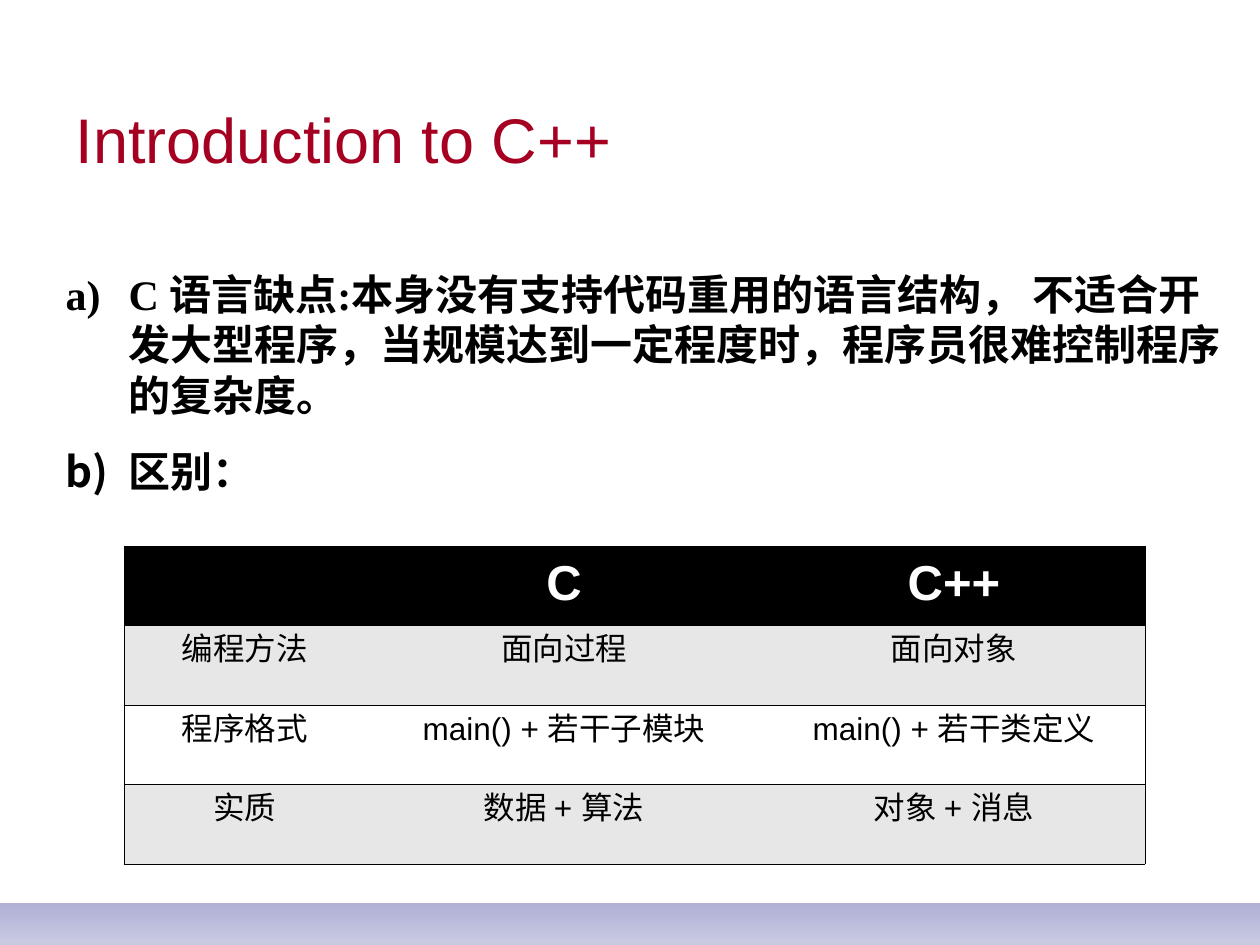
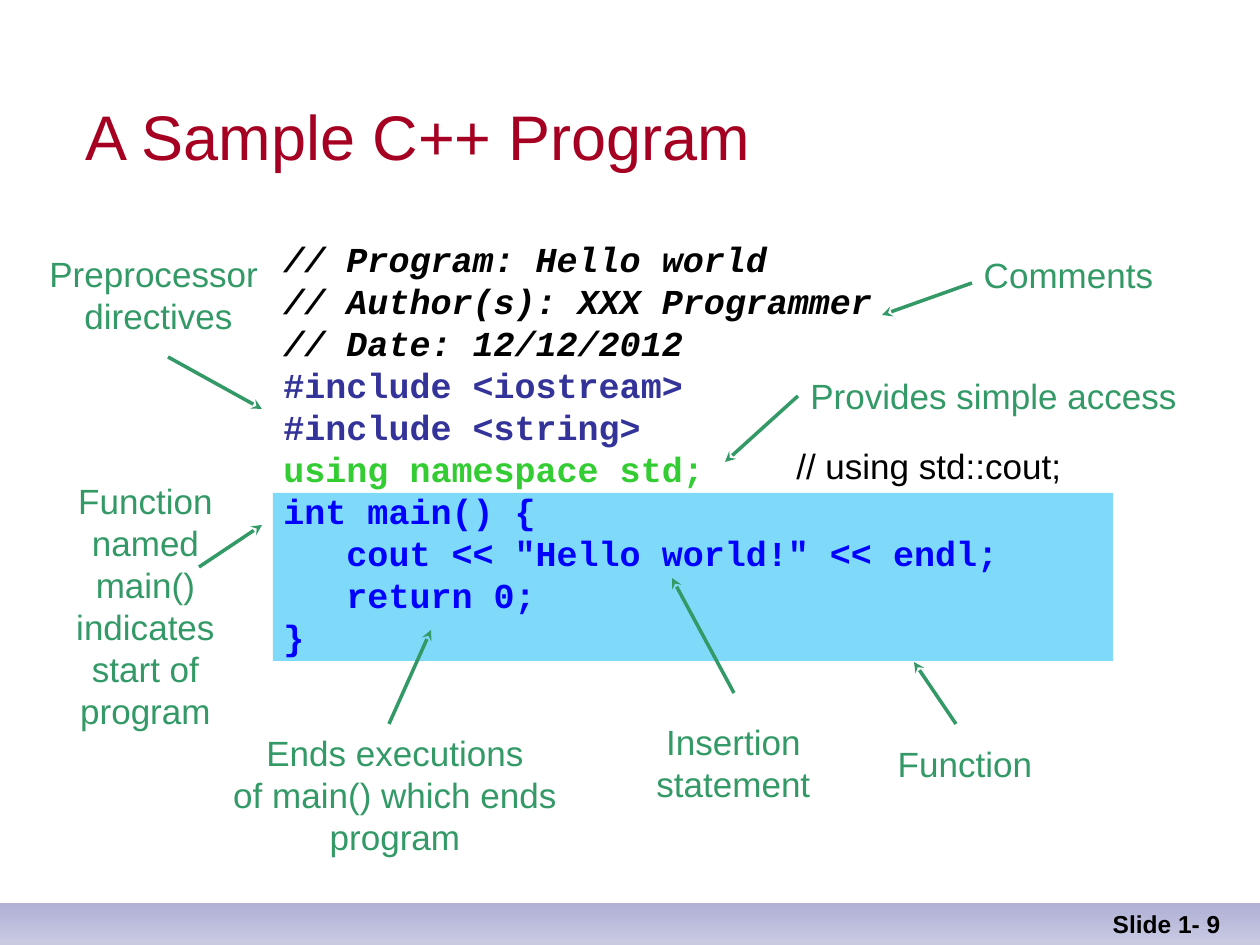
from dataclasses import dataclass
from typing import NamedTuple

from lxml.etree import SubElement
from pptx import Presentation
from pptx.dml.color import RGBColor
from pptx.enum.shapes import MSO_CONNECTOR, MSO_SHAPE
from pptx.enum.text import MSO_ANCHOR, MSO_AUTO_SIZE, PP_ALIGN
from pptx.oxml.ns import qn
from pptx.util import Emu, Pt

PX_PER_INCH = 126


@dataclass(frozen=True)
class Theme:
    title: str = "A50021"
    ink: str = "000000"
    paper: str = "FFFFFF"
    stripe: str = "E7E7E7"
    callout: str = "339966"
    directive: str = "333399"
    namespace: str = "33CC33"
    body_code: str = "0000FF"
    highlight: str = "00B6F6"
    band_top: str = "B0B1D5"
    band_bottom: str = "C9CAE2"
    sans: str = "Arial"
    serif: str = "Times New Roman"
    mono: str = "Courier New"
    title_size: int = 36
    header_size: int = 28
    list_size: int = 24
    callout_size: int = 20
    cell_size: int = 18
    footer_size: int = 14
    line_pitch: float = 1.2


THEME = Theme()


class Box(NamedTuple):
    left: int
    top: int
    width: int
    height: int


class CodeLine(NamedTuple):
    text: str
    color: str
    italic: bool = False


class Callout(NamedTuple):
    box: Box
    lines: list[str]
    wrap: bool = False
    align: PP_ALIGN = PP_ALIGN.CENTER
    color: str = THEME.callout


class Arrow(NamedTuple):
    start: tuple[int, int]
    tip: tuple[int, int]


# Slide 1 content
LIST_ITEMS = [
    "C 语言缺点:本身没有支持代码重用的语言结构， 不适合开发大型程序，"
    "当规模达到一定程度时，程序员很难控制程序的复杂度。",
    "区别：",
]
COLUMN_WIDTHS = [241, 398, 382]
COMPARISON = [
    ["", "C", "C++"],
    ["编程方法", "面向过程", "面向对象"],
    ["程序格式", "main() + 若干子模块", "main() + 若干类定义"],
    ["实质", "数据 + 算法", "对象 + 消息"],
]

# Slide 2 content
CODE = [
    CodeLine("// Program: Hello world", THEME.ink, True),
    CodeLine("// Author(s): XXX Programmer", THEME.ink, True),
    CodeLine("// Date: 12/12/2012", THEME.ink, True),
    CodeLine("#include <iostream>", THEME.directive),
    CodeLine("#include <string>", THEME.directive),
    CodeLine("using namespace std;", THEME.namespace),
    CodeLine("int main() {", THEME.body_code),
    CodeLine('   cout << "Hello world!" << endl;', THEME.body_code),
    CodeLine("   return 0;", THEME.body_code),
    CodeLine("}", THEME.body_code),
]
CALLOUTS = [
    Callout(Box(37, 246, 243, 97), ["Preprocessor ", "directives"]),
    Callout(Box(644, 714, 179, 97), ["Insertion", "statement"]),
    Callout(Box(189, 725, 412, 139),
            ["Ends executions", "of main() which ends program"], wrap=True),
    Callout(Box(971, 247, 195, 54), ["Comments"]),
    Callout(Box(885, 736, 160, 54), ["Function"]),
    Callout(Box(50, 473, 191, 265),
            ["Function named main() indicates start of program"], wrap=True),
    Callout(Box(798, 368, 392, 54), ["Provides simple access"],
            align=PP_ALIGN.LEFT),
    Callout(Box(784, 438, 375, 55), ["// using std::cout;"],
            align=PP_ALIGN.LEFT, color=THEME.ink),
]
ARROWS = [
    Arrow((168, 357), (262, 409)),
    Arrow((734, 693), (672, 578)),
    Arrow((389, 724), (431, 630)),
    Arrow((972, 283), (882, 315)),
    Arrow((956, 724), (914, 662)),
    Arrow((199, 567), (262, 525)),
    Arrow((798, 396), (725, 462)),
]


def px(value: int) -> Emu:
    return Emu(round(value * 914400 / PX_PER_INCH))


def emu_box(box: Box) -> list[Emu]:
    return [px(value) for value in box]


def rgb(color: str) -> RGBColor:
    return RGBColor.from_string(color)


def write(frame, lines, *, size: int, font: str = THEME.sans,
          color: str = THEME.ink, bold: bool = False, align=PP_ALIGN.LEFT,
          anchor=MSO_ANCHOR.TOP, wrap: bool = True, space_before: int = 0):
    """Fill a text frame; a CodeLine brings its own colour and slant."""
    frame.word_wrap = wrap
    frame.auto_size = MSO_AUTO_SIZE.NONE
    frame.vertical_anchor = anchor
    for index, line in enumerate(lines):
        if isinstance(line, str):
            line = CodeLine(line, color)
        para = frame.add_paragraph() if index else frame.paragraphs[0]
        para.alignment = align
        para.line_spacing = Pt(size * THEME.line_pitch)
        para.space_before = Pt(space_before if index else 0)
        span = para.add_run()
        span.text = line.text
        span.font.name = font
        span.font.size = Pt(size)
        span.font.bold = bold
        span.font.italic = line.italic
        span.font.color.rgb = rgb(line.color)


def add_text(page, box: Box, lines, **text_format):
    shape = page.shapes.add_textbox(*emu_box(box))
    write(shape.text_frame, lines, **text_format)


def place(shape, box: Box):
    shape.left, shape.top, shape.width, shape.height = emu_box(box)


def add_rectangle(page, box: Box):
    shape = page.shapes.add_shape(MSO_SHAPE.RECTANGLE, *emu_box(box))
    shape.shadow.inherit = False
    shape.line.fill.background()
    return shape


def start_page(deck, layout_index: int, title: str, title_box: Box, anchor):
    """Add a slide with the shared bottom band and title style."""
    page = deck.slides.add_slide(deck.slide_layouts[layout_index])
    band = add_rectangle(page, Box(0, 903, 1260, 42))
    band.fill.gradient()
    band.fill.gradient_angle = 270
    for stop, color in zip(band.fill.gradient_stops,
                           (THEME.band_top, THEME.band_bottom)):
        stop.color.rgb = rgb(color)
    place(page.shapes.title, title_box)
    write(page.shapes.title.text_frame, [title], size=THEME.title_size,
          color=THEME.title, anchor=anchor)
    return page


def number_list(frame, indent: int):
    for number, para in enumerate(frame.paragraphs, start=1):
        properties = para._p.get_or_add_pPr()
        properties.set("marL", str(px(indent)))
        properties.set("indent", str(-px(indent)))
        SubElement(properties, qn("a:buAutoNum"), type="alphaLcParenR",
                   startAt=str(number))


def set_borders(cell, visible: set[str]):
    """Draw thin lines on the visible sides and clear the others."""
    properties = cell._tc.get_or_add_tcPr()
    for index, side in enumerate(("lnL", "lnR", "lnT", "lnB")):
        line = properties.makeelement(qn(f"a:{side}"), {"w": "5715"})
        properties.insert(index, line)
        if side in visible:
            fill = SubElement(line, qn("a:solidFill"))
            SubElement(fill, qn("a:srgbClr"), val=THEME.ink)
        else:
            SubElement(line, qn("a:noFill"))


def add_comparison(page, box: Box):
    table = page.shapes.add_table(
        len(COMPARISON), len(COLUMN_WIDTHS), *emu_box(box)).table
    for column, width in zip(table.columns, COLUMN_WIDTHS):
        column.width = px(width)
    last_column = len(COLUMN_WIDTHS) - 1
    for row, texts in enumerate(COMPARISON):
        header = row == 0
        background = (THEME.ink if header
                      else THEME.stripe if row % 2 else THEME.paper)
        for column, text in enumerate(texts):
            cell = table.cell(row, column)
            cell.fill.solid()
            cell.fill.fore_color.rgb = rgb(background)
            if text:
                write(cell.text_frame, [text], bold=header,
                      size=THEME.header_size if header else THEME.cell_size,
                      color=THEME.paper if header else THEME.ink,
                      align=PP_ALIGN.CENTER)
            sides = {"lnT", "lnB"}
            if column == 0:
                sides.add("lnL")
            if column == last_column:
                sides.add("lnR")
            set_borders(cell, sides)


def add_arrow(page, arrow: Arrow):
    connector = page.shapes.add_connector(
        MSO_CONNECTOR.STRAIGHT,
        *(px(value) for value in (*arrow.start, *arrow.tip)))
    connector.line.color.rgb = rgb(THEME.callout)
    connector.line.width = Pt(2)
    SubElement(connector.line._get_or_add_ln(), qn("a:tailEnd"), type="stealth")
    SubElement(connector._element.spPr, qn("a:effectLst"))


def build_introduction(deck):
    page = start_page(deck, 1, "Introduction to C++",
                      Box(63, 94, 1144, 137), MSO_ANCHOR.TOP)
    body = page.placeholders[1]
    place(body, Box(53, 262, 1187, 241))
    write(body.text_frame, LIST_ITEMS, size=THEME.list_size, font=THEME.serif,
          bold=True, space_before=15)
    number_list(body.text_frame, indent=63)
    add_comparison(page, Box(124, 546, sum(COLUMN_WIDTHS), 318))


def build_sample_program(deck):
    page = start_page(deck, 5, "A Sample C++ Program",
                      Box(73, 42, 1144, 137), MSO_ANCHOR.BOTTOM)
    add_text(page, Box(971, 882, 262, 63), ["Slide 1- 9"], bold=True,
             size=THEME.footer_size, align=PP_ALIGN.RIGHT,
             anchor=MSO_ANCHOR.BOTTOM)

    # Half-transparent highlight behind main()
    highlight = add_rectangle(page, Box(273, 493, 840, 168))
    highlight.fill.solid()
    highlight.fill.fore_color.rgb = rgb(THEME.highlight)
    color = highlight._element.spPr.find(f".//{qn('a:srgbClr')}")
    SubElement(color, qn("a:alpha"), val="50000")

    # Code with its callouts
    add_text(page, Box(271, 231, 925, 433), CODE, size=THEME.callout_size,
             font=THEME.mono, bold=True)
    for callout in CALLOUTS:
        add_text(page, callout.box, callout.lines, size=THEME.callout_size,
                 color=callout.color, align=callout.align, wrap=callout.wrap)
    for arrow in ARROWS:
        add_arrow(page, arrow)


def main():
    deck = Presentation()
    deck.slide_width, deck.slide_height = px(1260), px(945)
    build_introduction(deck)
    build_sample_program(deck)
    deck.save("out.pptx")


if __name__ == "__main__":
    main()
